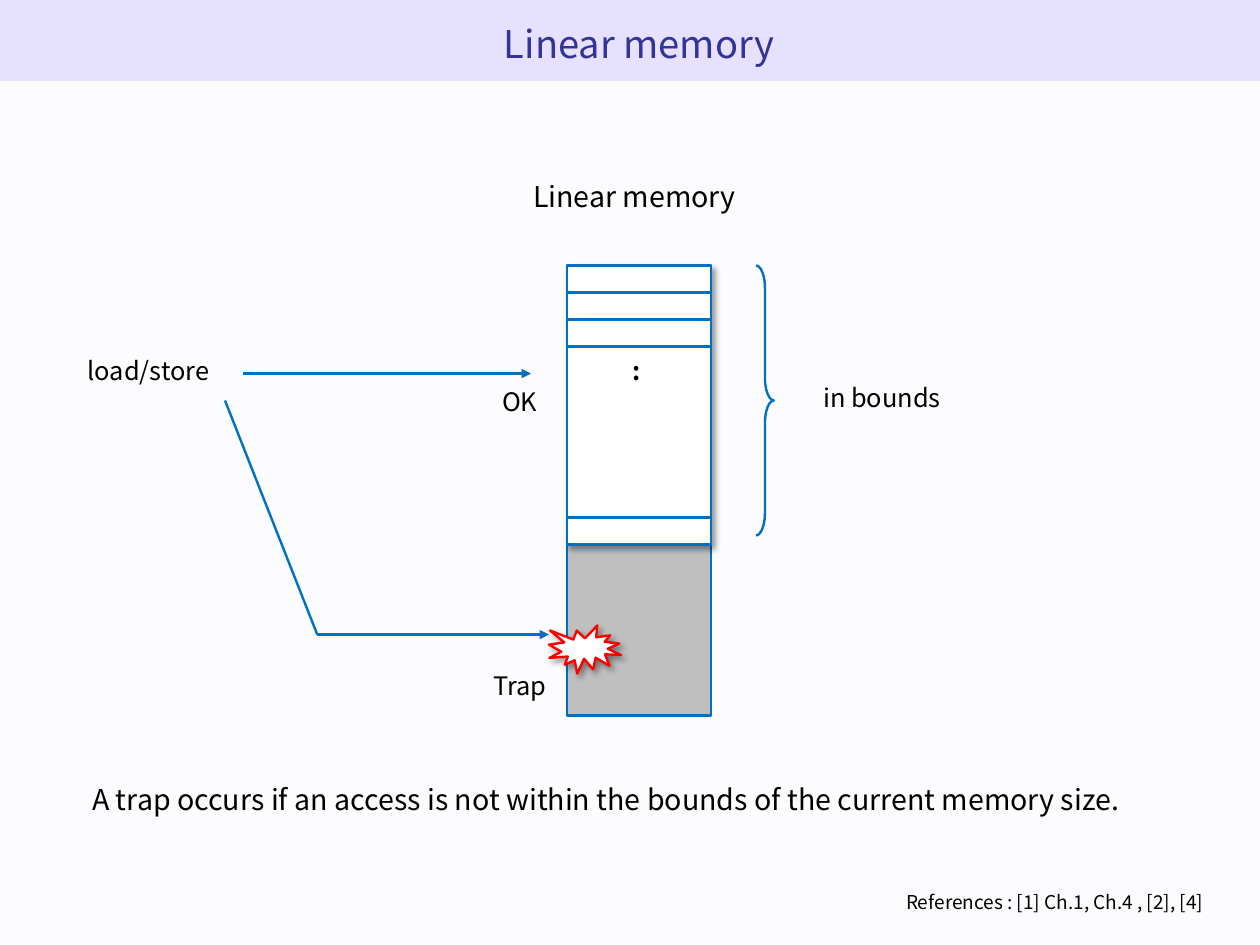
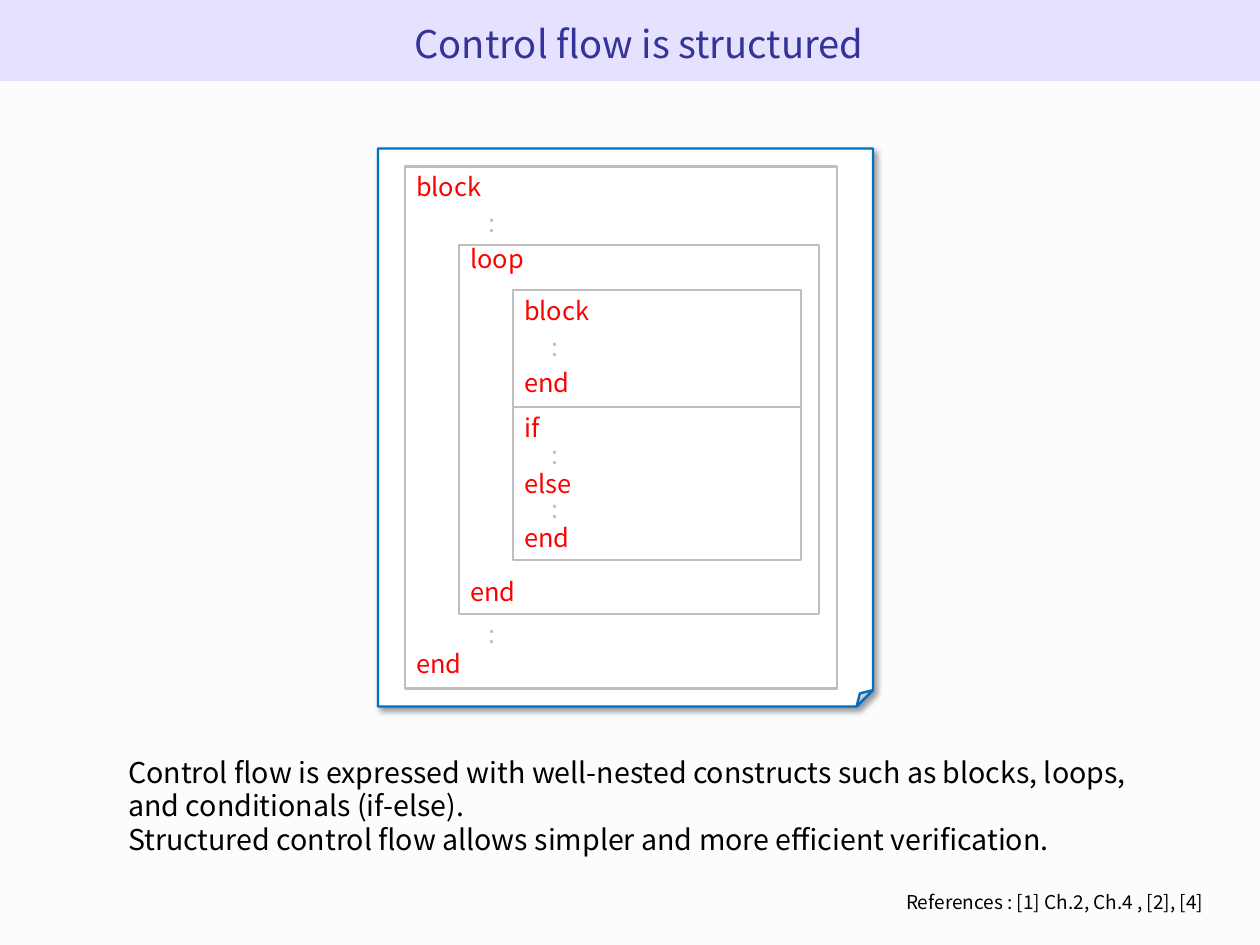
from dataclasses import dataclass
from typing import Optional

from lxml.etree import SubElement
from pptx import Presentation
from pptx.dml.color import RGBColor
from pptx.enum.shapes import MSO_CONNECTOR as Link, MSO_SHAPE as Preset
from pptx.enum.text import MSO_ANCHOR as Anchor, PP_ALIGN as Align
from pptx.oxml.ns import qn
from pptx.util import Cm, Pt

WHITE = RGBColor(0xFF, 0xFF, 0xFF)
BLACK = RGBColor(0x00, 0x00, 0x00)
PAPER = RGBColor(0xFC, 0xFC, 0xFF)
LAVENDER = RGBColor(0xE6, 0xE1, 0xFF)
INDIGO = RGBColor(0x33, 0x33, 0x99)
BLUE = RGBColor(0x00, 0x70, 0xC0)
RED = RGBColor(0xFF, 0x00, 0x00)
GRAY = RGBColor(0xBF, 0xBF, 0xBF)

FONT = "Noto Sans CJK SC"
LINE_SPACING = 0.97
LINE_WIDTH = Pt(1.5)
SLIDE_WIDTH, SLIDE_HEIGHT = 28, 21


@dataclass(frozen=True)
class Box:
    left: float
    top: float
    width: float
    height: float

    def lengths(self) -> tuple:
        return Cm(self.left), Cm(self.top), Cm(self.width), Cm(self.height)


@dataclass(frozen=True)
class Label:
    text: str
    box: Box
    size: int = 16
    color: RGBColor = BLACK
    align: Align = Align.CENTER
    anchor: Anchor = Anchor.MIDDLE
    bold: bool = False


@dataclass(frozen=True)
class Arrow:
    start: tuple
    end: tuple
    head: bool = True


@dataclass(frozen=True)
class Guide:
    name: str
    value: int


@dataclass(frozen=True)
class Construct:
    frame: Box
    keywords: tuple
    dots: tuple
    dots_left: float


def add_label(slide, label: Label) -> None:
    frame = slide.shapes.add_textbox(*label.box.lengths()).text_frame
    frame.word_wrap = True
    frame.vertical_anchor = label.anchor
    frame.text = label.text
    for paragraph in frame.paragraphs:
        paragraph.alignment = label.align
        paragraph.line_spacing = LINE_SPACING
        for run in paragraph.runs:
            run.font.name = FONT
            run.font.size = Pt(label.size)
            run.font.bold = label.bold
            run.font.color.rgb = label.color


def add_shadow(shape) -> None:
    effects = shape._element.spPr.find(qn("a:effectLst"))
    shadow = SubElement(effects, qn("a:outerShdw"), blurRad=str(Pt(4)),
                        dist=str(Pt(3)), dir="2700000", algn="tl", rotWithShape="0")
    tint = SubElement(shadow, qn("a:srgbClr"), val=str(BLACK))
    SubElement(tint, qn("a:alpha"), val="40000")


def set_guide(shape, guide: Guide) -> None:
    geometry = shape._element.spPr.find(qn("a:prstGeom"))
    guides = geometry.find(qn("a:avLst"))
    if guides is None:
        guides = SubElement(geometry, qn("a:avLst"))
    SubElement(guides, qn("a:gd"), name=guide.name, fmla=f"val {guide.value}")


def add_figure(slide, box: Box, fill: Optional[RGBColor] = None,
               line: Optional[RGBColor] = None, preset: Preset = Preset.RECTANGLE,
               shadow: bool = False, guide: Optional[Guide] = None) -> None:
    shape = slide.shapes.add_shape(preset, *box.lengths())
    shape.shadow.inherit = False
    if shadow:
        add_shadow(shape)
    if guide is not None:
        set_guide(shape, guide)
    if fill is None:
        shape.fill.background()
    else:
        shape.fill.solid()
        shape.fill.fore_color.rgb = fill
    if line is None:
        shape.line.fill.background()
    else:
        shape.line.color.rgb = line
        shape.line.width = LINE_WIDTH


def add_arrow(slide, arrow: Arrow) -> None:
    points = [Cm(value) for value in arrow.start + arrow.end]
    connector = slide.shapes.add_connector(Link.STRAIGHT, *points)
    connector.line.color.rgb = BLUE
    connector.line.width = LINE_WIDTH
    if arrow.head:
        SubElement(connector.line._get_or_add_ln(), qn("a:tailEnd"), type="triangle")
    SubElement(connector._element.spPr, qn("a:effectLst"))


def add_page(deck, title: str, references: str):
    slide = deck.slides.add_slide(deck.slide_layouts[6])
    add_figure(slide, Box(0, 0, SLIDE_WIDTH, 1.8), LAVENDER)
    add_label(slide, Label(title, Box(1, 0.38, 26.4, 2.4), 24, INDIGO, anchor=Anchor.TOP))
    add_label(slide, Label(references, Box(1.2, 19.7, 25.8, 0.94), 12,
                           align=Align.RIGHT, anchor=Anchor.TOP))
    return slide


def build_memory(deck) -> None:
    slide = add_page(deck, "Linear memory", "References : [1] Ch.1, Ch.4 , [2], [4]")
    left, top, width, height, cell = 12.6, 5.9, 3.2, 6.2, 0.6
    add_figure(slide, Box(left, 9.7, width, height), GRAY, BLUE)
    add_figure(slide, Box(left, top, width, height), WHITE, BLUE, shadow=True)
    for cell_top in (top, top + cell, top + 2 * cell, top + height - cell):
        add_figure(slide, Box(left, cell_top, width, cell), WHITE, BLUE)
    add_figure(slide, Box(16.8, top, 0.4, 6), line=BLUE,
               preset=Preset.RIGHT_BRACE, guide=Guide("adj1", 125000))

    bend = (7.05, 14.1)
    for arrow in (
        Arrow((5.4, 8.3), (11.8, 8.3)),
        Arrow((5, 8.9), bend, head=False),
        Arrow(bend, (12.2, 14.1)),
    ):
        add_arrow(slide, arrow)
    add_figure(slide, Box(12.2, 13.9, 1.6, 1.07), WHITE, RED, Preset.EXPLOSION1, shadow=True)

    for label in (
        Label("Linear memory", Box(10, 3.9, 8.2, 1.2), 18, anchor=Anchor.TOP),
        Label("load/store", Box(0.8, 7.7, 5, 1.1)),
        Label(":", Box(12.8, 7.7, 2.7, 1.1), bold=True),
        Label("in bounds", Box(17.6, 8.3, 4, 1.1)),
        Label("OK", Box(10.2, 8.4, 2.7, 1.1)),
        Label("Trap", Box(10.2, 14.7, 2.7, 1.1)),
        Label("A trap occurs if an access is not within the bounds of the current memory size.",
              Box(1.8, 17.3, 25.6, 1.2), 18, align=Align.LEFT, anchor=Anchor.TOP),
    ):
        add_label(slide, label)


def add_construct(slide, construct: Construct) -> None:
    add_figure(slide, construct.frame, line=GRAY)
    rows = [(text, construct.frame.left, top, RED) for text, top in construct.keywords]
    rows += [(":", construct.dots_left, top, GRAY) for top in construct.dots]
    for text, left, top, color in rows:
        add_label(slide, Label(text, Box(left, top, 3.6, 0.94), color=color, align=Align.LEFT))


def build_control_flow(deck) -> None:
    slide = add_page(deck, "Control flow is structured",
                     "References : [1] Ch.2, Ch.4 , [2], [4]")
    add_figure(slide, Box(8.4, 3.3, 11, 12.4), WHITE, BLUE, Preset.FOLDED_CORNER,
               shadow=True, guide=Guide("adj", 3300))
    for construct in (
        Construct(Box(9, 3.7, 9.6, 11.6), (("block", 3.7), ("end", 14.3)), (4.5, 13.64), 10.6),
        Construct(Box(10.2, 5.44, 8, 8.2), (("loop", 5.3), ("end", 12.7)), (), 10.6),
        Construct(Box(11.4, 6.45, 6.4, 2.6), (("block", 6.45), ("end", 8.05)), (7.25,), 12),
        Construct(Box(11.4, 9.05, 6.4, 3.4), (("if", 9.05), ("else", 10.3), ("end", 11.5)),
                  (9.65, 10.85), 12),
    ):
        add_construct(slide, construct)
    add_label(slide, Label(
        "Control flow is expressed with well-nested constructs such as blocks, loops, "
        "and conditionals (if-else).\n"
        "Structured control flow allows simpler and more efficient verification.",
        Box(2.6, 16.7, 23.8, 1.4), 18, align=Align.LEFT, anchor=Anchor.TOP))


def main() -> None:
    deck = Presentation()
    deck.slide_width, deck.slide_height = Cm(SLIDE_WIDTH), Cm(SLIDE_HEIGHT)
    backdrop = deck.slide_master.background.fill
    backdrop.solid()
    backdrop.fore_color.rgb = PAPER
    build_memory(deck)
    build_control_flow(deck)
    deck.save("out.pptx")


if __name__ == "__main__":
    main()
